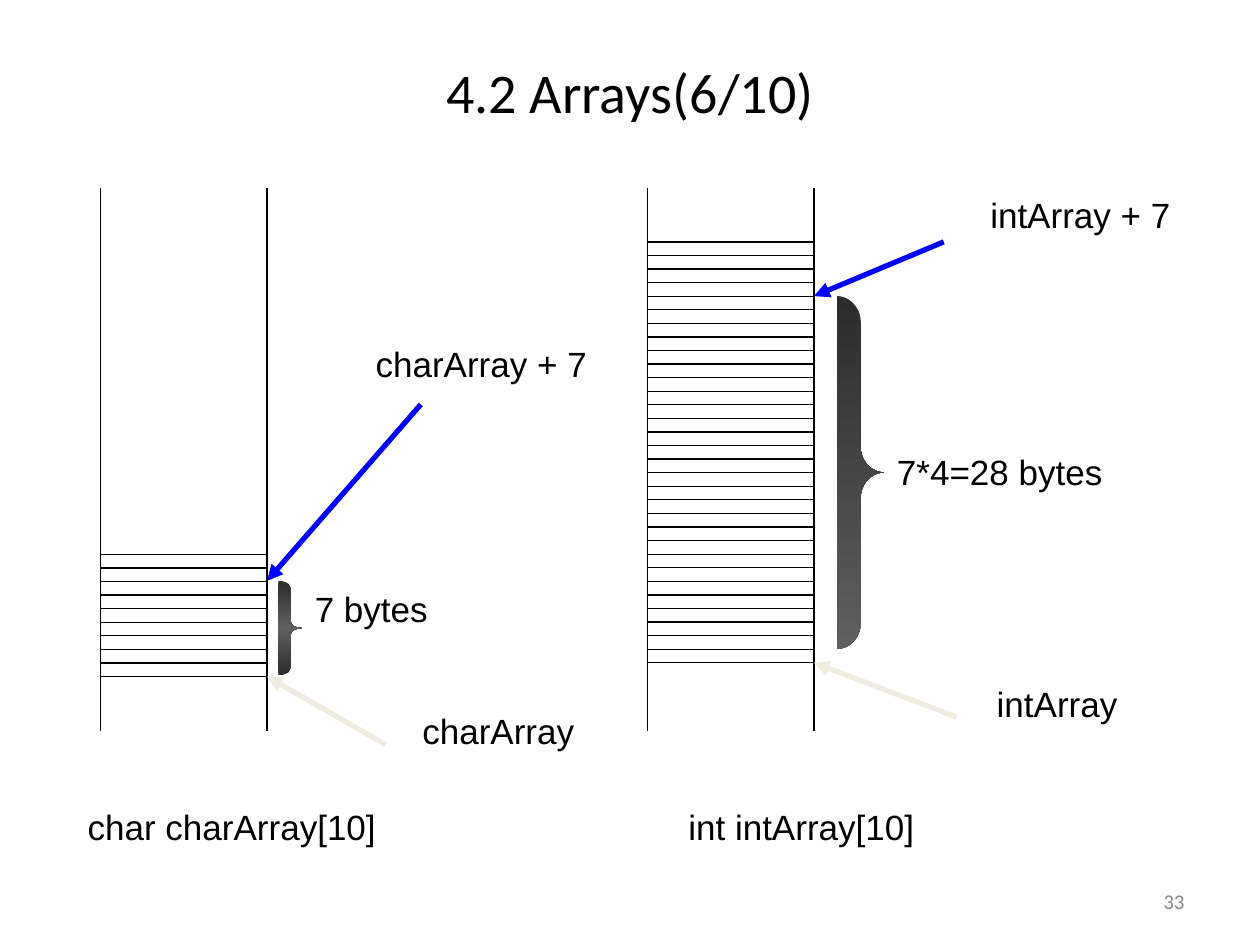
from copy import deepcopy
from typing import NamedTuple

from lxml import etree
from pptx import Presentation
from pptx import util as u
from pptx.dml.color import RGBColor
from pptx.enum import shapes, text
from pptx.oxml.ns import qn

BLACK = RGBColor(0x00, 0x00, 0x00)
BLUE = RGBColor(0x00, 0x00, 0xFF)
CREAM = RGBColor(0xEE, 0xEC, 0xE1)
GRAY = RGBColor(0x89, 0x89, 0x89)
DARK = RGBColor(0x2C, 0x2C, 0x2C)
LIGHT = RGBColor(0x5F, 0x5F, 0x5F)

MEMORY_TOP, MEMORY_BOTTOM = 1.49, 5.8
MEMORY_WIDTH = 1.32
LEFT, CENTER, RIGHT = text.PP_ALIGN.LEFT, text.PP_ALIGN.CENTER, text.PP_ALIGN.RIGHT


class Memory(NamedTuple):
    left: float
    first_line: float
    last_line: float
    line_count: int


class Label(NamedTuple):
    words: str
    left: float
    top: float
    width: float
    align: text.PP_ALIGN = CENTER


class Pointer(NamedTuple):
    start: tuple[float, float]
    end: tuple[float, float]
    color: RGBColor


class Brace(NamedTuple):
    left: float
    top: float
    width: float
    height: float
    curve: float
    stops: tuple[RGBColor, ...]


MEMORIES = [Memory(0.8, 4.4, 5.37, 10), Memory(5.14, 1.92, 5.26, 32)]
LABELS = [
    Label("char charArray[10]", 0.33, 6.34, 3.02),
    Label("int intArray[10]", 4.85, 6.34, 3.02),
    Label("charArray", 3.06, 5.58, 1.79),
    Label("charArray + 7", 2.69, 2.67, 2.26),
    Label("7 bytes", 2.4, 4.61, 1.6, LEFT),
    Label("7*4=28 bytes", 7.02, 3.53, 2.45, LEFT),
    Label("intArray + 7", 7.49, 1.49, 2.17),
    Label("intArray", 7.59, 5.37, 1.6),
]
POINTERS = [
    Pointer((3.06, 5.91), (2.12, 5.37), CREAM),
    Pointer((3.34, 3.21), (2.12, 4.61), BLUE),
    Pointer((7.49, 1.92), (6.46, 2.35), BLUE),
    Pointer((7.59, 5.69), (6.46, 5.26), CREAM),
]
BRACES = [
    Brace(6.64, 2.35, 0.38, 2.8, 0.54, (DARK, LIGHT)),
    Brace(2.21, 4.61, 0.19, 0.75, 0.29, (DARK, LIGHT, DARK)),
]


def format_text(box, size: float, font: str, color: RGBColor, align) -> None:
    for para in box.text_frame.paragraphs:
        para.alignment = align
        for span in para.runs:
            span.font.size = u.Pt(size)
            span.font.name = font
            span.font.color.rgb = color


def draw_line(page, start, end, color: RGBColor = BLACK, weight: float = 0.75):
    line = page.shapes.add_connector(
        shapes.MSO_CONNECTOR.STRAIGHT, *(u.Inches(value) for value in (*start, *end)))
    line.line.color.rgb = color
    line.line.width = u.Pt(weight)
    etree.SubElement(line._element.spPr, qn("a:effectLst"))
    return line


def draw_memory(page, memory: Memory) -> None:
    right = memory.left + MEMORY_WIDTH
    for x in (memory.left, right):
        draw_line(page, (x, MEMORY_TOP), (x, MEMORY_BOTTOM))
    pitch = (memory.last_line - memory.first_line) / (memory.line_count - 1)
    for row in range(memory.line_count):
        y = memory.first_line + row * pitch
        draw_line(page, (memory.left, y), (right, y))


def draw_pointer(page, pointer: Pointer) -> None:
    arrow = draw_line(page, pointer.start, pointer.end, pointer.color, 3)
    etree.SubElement(arrow.line._get_or_add_ln(), qn("a:tailEnd"), type="triangle")


def draw_label(page, label: Label) -> None:
    box = page.shapes.add_textbox(
        u.Inches(label.left), u.Inches(label.top), u.Inches(label.width), u.Inches(0.43))
    box.text_frame.word_wrap = True
    box.text_frame.text = label.words
    format_text(box, 20, "Arial", BLACK, label.align)


def draw_brace(page, brace: Brace) -> None:
    shape = page.shapes.add_shape(
        shapes.MSO_SHAPE.RIGHT_BRACE, u.Inches(brace.left), u.Inches(brace.top),
        u.Inches(brace.width), u.Inches(brace.height))
    shape.adjustments[0] = brace.curve
    shape.adjustments[1] = 0.5
    shape.shadow.inherit = False
    shape.line.fill.background()
    shape.fill.gradient()
    shape.fill.gradient_angle = 270
    stop_list = shape._element.spPr.find(".//" + qn("a:gsLst"))
    while len(stop_list) < len(brace.stops):
        stop_list.append(deepcopy(stop_list[-1]))
    for index, (stop, color) in enumerate(zip(shape.fill.gradient_stops, brace.stops)):
        stop.color.rgb = color
        stop.position = index / (len(brace.stops) - 1)


def draw_title(page) -> None:
    title = page.shapes.title
    title.left, title.top = u.Inches(0), u.Inches(0.3)
    title.width, title.height = u.Inches(10), u.Inches(0.85)
    title.text_frame.text = "4.2 Arrays(6/10)"
    title.text_frame.vertical_anchor = text.MSO_ANCHOR.MIDDLE
    format_text(title, 32, "Calibri", BLACK, CENTER)


def draw_page_number(page) -> None:
    box = page.shapes.add_textbox(
        u.Inches(7.17), u.Inches(6.95), u.Inches(2.33), u.Inches(0.4))
    box.text_frame.word_wrap = True
    box.text_frame.text = "33"
    box.text_frame.vertical_anchor = text.MSO_ANCHOR.MIDDLE
    format_text(box, 12, "Calibri", GRAY, RIGHT)


def main() -> None:
    deck = Presentation()
    deck.slide_width, deck.slide_height = u.Inches(10), u.Inches(7.5)
    page = deck.slides.add_slide(deck.slide_layouts[5])
    draw_page_number(page)
    draw_title(page)
    for memory in MEMORIES:
        draw_memory(page, memory)
    for label in LABELS:
        draw_label(page, label)
    for pointer in POINTERS:
        draw_pointer(page, pointer)
    for brace in BRACES:
        draw_brace(page, brace)
    deck.save("out.pptx")


if __name__ == "__main__":
    main()
